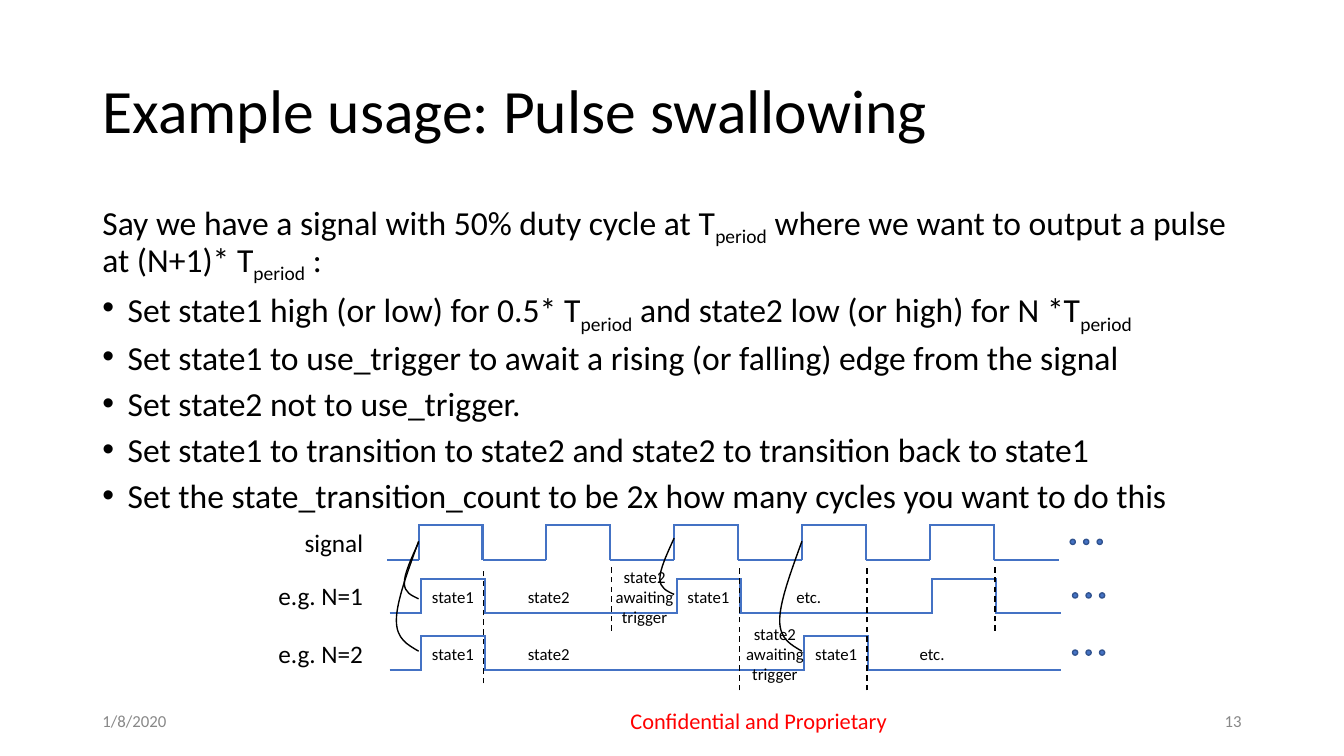
from dataclasses import dataclass

from lxml.etree import SubElement
from pptx import Presentation
from pptx.dml.color import RGBColor
from pptx.enum.dml import MSO_LINE
from pptx.enum.shapes import MSO_CONNECTOR, MSO_SHAPE
from pptx.enum.text import MSO_ANCHOR as Anchor, MSO_AUTO_SIZE as AutoSize, PP_ALIGN as Align
from pptx.oxml.ns import qn
from pptx.util import Cm, Pt


@dataclass(frozen=True)
class Theme:
    font: str = "Calibri"
    ink: str = "000000"
    muted: str = "888888"
    alert: str = "FF0000"
    wave: str = "4472C4"
    dot_edge: str = "31538F"
    title: int = 44
    body: int = 24
    row: int = 18
    notice: int = 16
    small: int = 12
    wave_width: float = 1.5
    thin: float = 1


class TimingSlide:
    def __init__(self, slide, theme):
        self.slide, self.shapes, self.theme = slide, slide.shapes, theme

    def style(self, paragraph, size, color):
        for run in paragraph.runs:
            run.font.name = self.theme.font
            run.font.size = Pt(size)
            run.font.color.rgb = RGBColor.from_string(color)

    def stroke(self, line, color, width):
        line.color.rgb = RGBColor.from_string(color)
        line.width = Pt(width)

    def title(self, text, left, top, width, height):
        heading = self.shapes.title
        heading.left, heading.top, heading.width, heading.height = map(Cm, (left, top, width, height))
        frame = heading.text_frame
        frame.text = text
        frame.auto_size = AutoSize.NONE
        frame.vertical_anchor = Anchor.MIDDLE
        paragraph = frame.paragraphs[0]
        paragraph.alignment = Align.LEFT
        paragraph.line_spacing = 0.9
        self.style(paragraph, self.theme.title, self.theme.ink)

    def text(self, text, left, top, width, height, size, color=None,
             align=Align.CENTER, anchor=Anchor.TOP, wrap=True):
        frame = self.shapes.add_textbox(*map(Cm, (left, top, width, height))).text_frame
        frame.text = text
        frame.word_wrap = wrap
        frame.vertical_anchor = anchor
        for paragraph in frame.paragraphs:
            paragraph.alignment = align
            self.style(paragraph, size, color or self.theme.ink)

    def body(self, intro, steps, left, top, width, height):
        frame = self.shapes.add_textbox(*map(Cm, (left, top, width, height))).text_frame
        frame.word_wrap = True
        for index, text in enumerate([intro, *steps]):
            paragraph = frame.add_paragraph() if index else frame.paragraphs[0]
            paragraph.line_spacing = 0.8
            self.subscripted(paragraph, text, "period")
            self.style(paragraph, self.theme.body, self.theme.ink)
            if index:
                paragraph.space_before = Pt(10)
                self.bullet(paragraph)

    def subscripted(self, paragraph, text, subscript):
        for index, part in enumerate(text.split(subscript)):
            if index:
                run = paragraph.add_run()
                run.text = subscript
                run.font._element.set("baseline", "-25000")
            if part:
                paragraph.add_run().text = part

    def bullet(self, paragraph):
        properties = paragraph._p.get_or_add_pPr()
        properties.set("marL", str(Cm(0.64)))
        properties.set("indent", str(-Cm(0.64)))
        SubElement(properties, qn("a:buFont"), typeface="Arial")
        SubElement(properties, qn("a:buChar"), char="•")

    def line(self, x1, y1, x2, y2, color, width, dashed=False):
        connector = self.shapes.add_connector(MSO_CONNECTOR.STRAIGHT, *map(Cm, (x1, y1, x2, y2)))
        SubElement(connector._element.spPr, qn("a:effectLst"))
        self.stroke(connector.line, color, width)
        if dashed:
            connector.line.dash_style = MSO_LINE.DASH

    def wave(self, start, rises, end, high, low):
        ink = self.theme.wave, self.theme.wave_width
        for rise in rises:
            fall = rise + HALF_PERIOD
            self.line(start, low, rise, low, *ink)
            self.line(rise, high, fall, high, *ink)
            for edge in (rise, fall):
                self.line(edge, low + 0.02, edge, high - 0.02, *ink)
            start = fall
        self.line(start, low, end, low, *ink)

    def dots(self, left, top):
        for index in range(3):
            dot = self.shapes.add_shape(
                MSO_SHAPE.OVAL, *map(Cm, (left + 0.34 * index, top, 0.13, 0.13)))
            dot.shadow.inherit = False
            dot.fill.solid()
            dot.fill.fore_color.rgb = RGBColor.from_string(self.theme.wave)
            self.stroke(dot.line, self.theme.dot_edge, self.theme.thin)

    def trigger_curve(self, right, top, width, height):
        fractions = [(1, 0), (0.5, 0.28), (0, 0.55), (0, 0.72), (0, 0.89), (0.5, 0.94), (1, 1)]
        points = [(Cm(right - width + fx * width), Cm(top + fy * height)) for fx, fy in fractions]
        builder = self.shapes.build_freeform(*points[0])
        builder.add_line_segments(points[1:], close=False)
        curve = builder.convert_to_shape()
        curve.shadow.inherit = False
        curve.fill.background()
        self.stroke(curve.line, self.theme.ink, self.theme.thin)
        outline = curve._element.find(".//" + qn("a:path"))
        segments = outline.findall(qn("a:lnTo"))
        for first in (0, 3):
            bezier = SubElement(outline, qn("a:cubicBezTo"))
            for segment in segments[first:first + 3]:
                bezier.append(segment[0])
                outline.remove(segment)


HALF_PERIOD = 1.61
FIRST_RISE = 10.55
HIGH, LOW = 13.23, 14.1
WAIT = "state2\nawaiting\ntrigger"
ROWS = [
    ("signal", 0, 0, (0, 2, 4, 6, 8), ()),
    ("e.g. N=1", 0.06, 1.35, (0, 4, 8),
     ((0.5, "state1"), (2, "state2"), (3.5, WAIT), (4.5, "state1"), (6.07, "etc."))),
    ("e.g. N=2", 0.06, 2.79, (0, 6),
     ((0.5, "state1"), (2, "state2"), (5.54, WAIT), (6.5, "state1"), (8, "etc."))),
]


def edge_at(half_periods):
    return FIRST_RISE + HALF_PERIOD * half_periods


theme = Theme()
deck = Presentation()
deck.slide_width, deck.slide_height = Cm(33.87), Cm(19.05)
page = TimingSlide(deck.slides.add_slide(deck.slide_layouts[5]), theme)

page.title("Example usage: Pulse swallowing", 2.33, 1.01, 29.21, 3.68)
page.body(
    "Say we have a signal with 50% duty cycle at Tperiod where we want to output a pulse at (N+1)* Tperiod :",
    ["Set state1 high (or low) for 0.5* Tperiod and state2 low (or high) for N *Tperiod",
     "Set state1 to use_trigger to await a rising (or falling) edge from the signal",
     "Set state2 not to use_trigger.",
     "Set state1 to transition to state2 and state2 to transition back to state1",
     "Set the state_transition_count to be 2x how many cycles you want to do this"],
    2.33, 5.07, 29.21, 7.98)

for words, left, width, size, color, align in (
        ("1/8/2020", 2.33, 7.62, theme.small, theme.muted, Align.LEFT),
        ("Confidential and Proprietary", 15.6, 7.04, theme.notice, theme.alert, Align.CENTER),
        ("13", 23.92, 7.62, theme.small, theme.muted, Align.RIGHT)):
    page.text(words, left, 17.66, width, 1.01, size, color, align, Anchor.MIDDLE)

for name, shift, drop, rises, states in ROWS:
    page.wave(9.76 + shift, [edge_at(rise) + shift for rise in rises],
              26.69 + shift, HIGH + drop, LOW + drop)
    page.dots(26.97 + shift, 13.59 + drop)
    page.text(name, 6.1, 13.16 + drop, 3.3, 1.02, theme.row, align=Align.RIGHT)
    for center, state in states:
        top, height = (12.8, 1.8) if state == WAIT else (13.31, 0.76)
        page.text(state, edge_at(center) + shift - 1, top + drop, 2, height, theme.small, wrap=False)

for half_periods, bottom in ((1, 17.22), (3, 15.9), (5, 17.4), (7, 17.4), (9, 15.9)):
    x = edge_at(half_periods) + 0.03
    page.line(x, bottom, x, 14.3, theme.ink, theme.thin, dashed=True)

for rise, top, width, height in (
        (0, 13.67, 0.36, 1.42), (0, 13.64, 0.56, 2.77),
        (4, 13.56, 0.36, 1.42), (6, 13.64, 0.56, 2.77)):
    page.trigger_curve(edge_at(rise), top, width, height)

deck.save("out.pptx")
